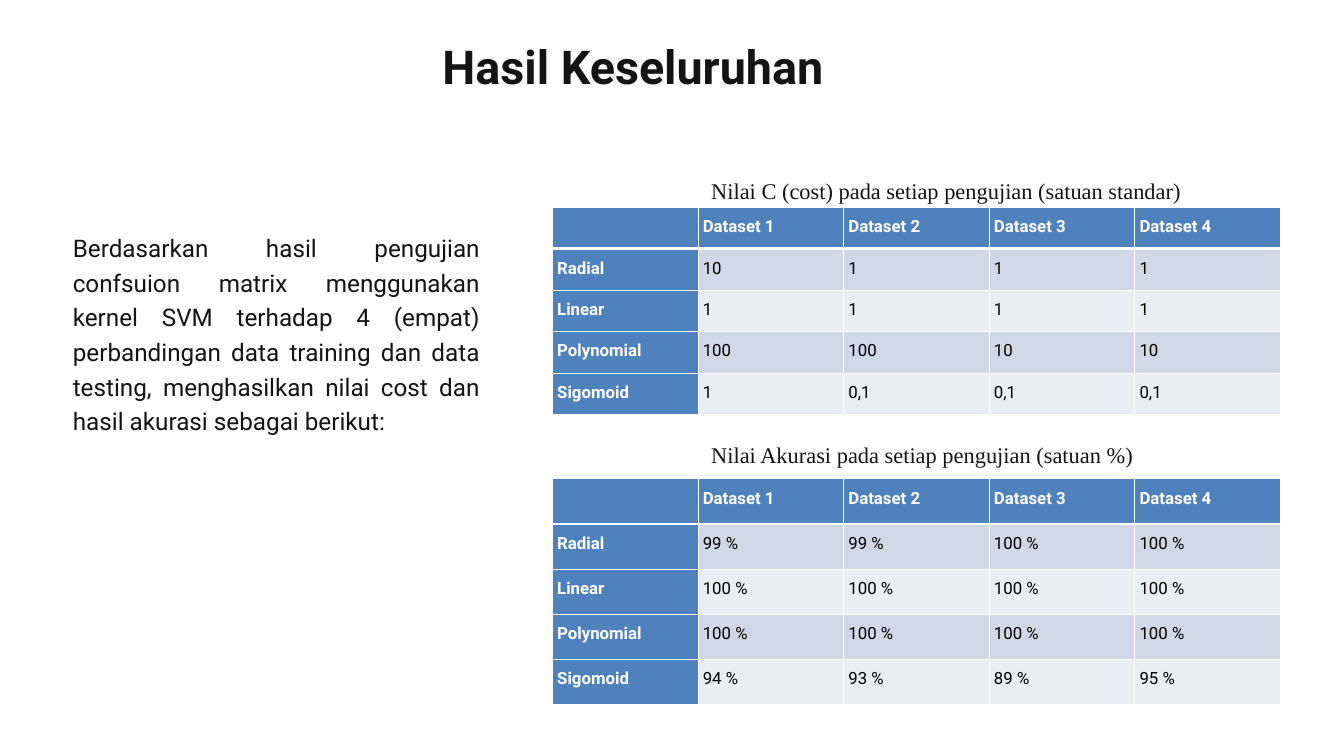
from lxml.etree import SubElement
from pptx import Presentation
from pptx.dml.color import RGBColor
from pptx.enum.text import MSO_ANCHOR, MSO_AUTO_SIZE, PP_ALIGN
from pptx.oxml.ns import qn
from pptx.util import Emu, Pt

PX = 9525
COLORS = {
    "ink": "141414",
    "head": "4F81BD",
    "odd": "D0D8E8",
    "even": "E9EDF4",
    "white": "FFFFFF",
    "black": "000000",
}
HEADER = ["", "Dataset 1", "Dataset 2", "Dataset 3", "Dataset 4"]
COST = [
    HEADER,
    ["Radial", "10", "1", "1", "1"],
    ["Linear", "1", "1", "1", "1"],
    ["Polynomial", "100", "100", "10", "10"],
    ["Sigomoid", "1", "0,1", "0,1", "0,1"],
]
ACCURACY = [
    HEADER,
    ["Radial", "99 %", "99 %", "100 %", "100 %"],
    ["Linear", "100 %", "100 %", "100 %", "100 %"],
    ["Polynomial", "100 %", "100 %", "100 %", "100 %"],
    ["Sigomoid", "94 %", "93 %", "89 %", "95 %"],
]
BODY = (
    "Berdasarkan hasil pengujian confsuion matrix menggunakan kernel SVM "
    "terhadap 4 (empat) perbandingan data training dan data testing, "
    "menghasilkan nilai cost dan hasil akurasi sebagai berikut:"
)


def px(n):
    return Emu(round(n * PX))


def rgb(name):
    return RGBColor.from_string(COLORS[name])


def style(font, face, size, color, bold=False):
    font.name, font.size, font.bold = face, Pt(size), bold
    font.color.rgb = rgb(color)


def write(shape, box, text, face, size, lead, bold=False, align=PP_ALIGN.LEFT):
    shape.left, shape.top, shape.width, shape.height = map(px, box)
    frame = shape.text_frame
    frame.margin_left = frame.margin_top = frame.margin_right = frame.margin_bottom = 0
    frame.word_wrap = True
    frame.auto_size = MSO_AUTO_SIZE.SHAPE_TO_FIT_TEXT
    frame.vertical_anchor = MSO_ANCHOR.TOP
    frame.text = text
    para = frame.paragraphs[0]
    para.alignment = align
    para.line_spacing = Pt(lead)
    style(para.runs[0].font, face, size, "ink", bold)


def add_text(slide, box, *args, **kwargs):
    write(slide.shapes.add_textbox(0, 0, 0, 0), box, *args, **kwargs)


def add_borders(cell, row):
    props = cell._tc.get_or_add_tcPr()
    widths = {"L": 1, "R": 1, "T": 3 if row == 1 else 1, "B": 3 if row == 0 else 1}
    for side, width in widths.items():
        line = SubElement(props, qn(f"a:ln{side}"), w=str(Pt(width)))
        fill = SubElement(line, qn("a:solidFill"))
        SubElement(fill, qn("a:srgbClr"), val=COLORS["white"])


def fill_cell(cell, text, row, col):
    label = row == 0 or col == 0
    add_borders(cell, row)
    cell.fill.solid()
    cell.fill.fore_color.rgb = rgb("head" if label else "odd" if row % 2 else "even")
    cell.margin_left = cell.margin_right = px(7)
    cell.margin_top = cell.margin_bottom = 0
    cell.text = text
    para = cell.text_frame.paragraphs[0]
    para.alignment = PP_ALIGN.JUSTIFY
    para.line_spacing = 1.5
    para.space_after = Pt(8)
    for run in para.runs:
        style(run.font, "Roboto", 18, "white" if label else "black", label)


def add_grid(slide, box, data):
    count = len(data)
    table = slide.shapes.add_table(count, len(data[0]), *map(px, box)).table
    for col in table.columns:
        col.width = px(box[2] / len(data[0]))
    for r, values in enumerate(data):
        table.rows[r].height = px(box[3] / count)
        for c, text in enumerate(values):
            fill_cell(table.cell(r, c), text, r, c)


def add_caption(slide, box, text):
    add_text(slide, box, text, "Times New Roman", 24, 60)


def main():
    deck = Presentation()
    deck.slide_width, deck.slide_height = px(1920), px(1080)
    slide = deck.slides.add_slide(deck.slide_layouts[5])
    write(slide.shapes.title, (632, 54, 1155, 82), "Hasil Keseluruhan",
          "Roboto", 50, 60, bold=True)
    add_text(slide, (104, 325, 582, 295), BODY, "Roboto", 26, 37.2,
             align=PP_ALIGN.JUSTIFY)
    add_caption(slide, (1016, 211, 704, 69),
                "Nilai C (cost) pada setiap pengujian (satuan standar)")
    add_caption(slide, (1016, 588, 640, 69),
                "Nilai Akurasi pada setiap pengujian (satuan %)")
    add_grid(slide, (789, 296, 1040, 296), COST)
    add_grid(slide, (789, 684, 1040, 322), ACCURACY)
    deck.save("out.pptx")


if __name__ == "__main__":
    main()
